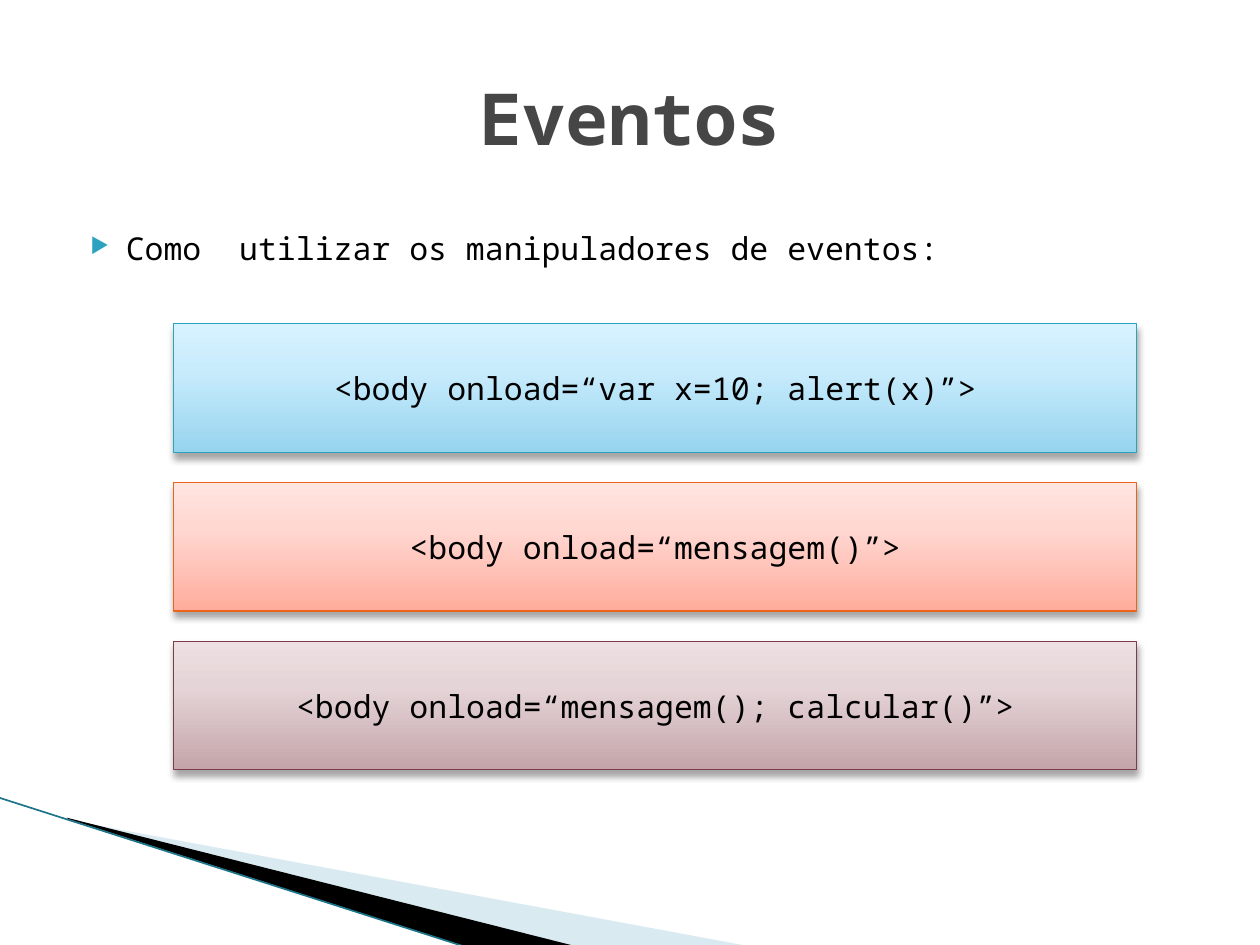
from dataclasses import dataclass

from lxml import etree
from pptx import Presentation
from pptx.dml.color import RGBColor
from pptx.enum.shapes import MSO_CONNECTOR, MSO_SHAPE
from pptx.enum.text import MSO_ANCHOR, PP_ALIGN
from pptx.oxml import parse_xml
from pptx.oxml.ns import nsdecls, qn
from pptx.util import Inches, Pt

RECT = MSO_SHAPE.RECTANGLE
STRAIGHT = MSO_CONNECTOR.STRAIGHT
MIDDLE = MSO_ANCHOR.MIDDLE
CENTER, JUSTIFY = PP_ALIGN.CENTER, PP_ALIGN.JUSTIFY


@dataclass(frozen=True)
class Theme:
    font: str = "Noto Sans Mono"
    title: str = "464646"
    ink: str = "000000"
    accent: str = "2DA2BF"
    pale: str = "A0CBDC"
    edge: str = "1C7489"
    big: int = 41
    text: int = 18


theme = Theme()


def write(frame, text, align, size=theme.text, color=theme.ink, bold=False):
    """Fill the first paragraph with one styled run and return it."""
    frame.word_wrap = True
    para = frame.paragraphs[0]
    para.alignment = align
    run = para.add_run()
    run.text = text
    font = run.font
    font.name, font.size, font.bold = theme.font, Pt(size), bold
    font.color.rgb = RGBColor.from_string(color)
    return para


prs = Presentation()
prs.slide_width, prs.slide_height = Inches(10), Inches(7.5)
slide = prs.slides.add_slide(prs.slide_layouts[6])
shapes = slide.shapes

# Corner wedges
wedges = [
    (theme.pale, 40, [(0.55, 6.51), (5.95, 7.51), (4.56, 7.51), (0.55, 6.5)]),
    (theme.ink, 100, [(0.53, 6.49), (4.57, 7.51), (3.72, 7.52), (0.54, 6.5)]),
]
for color, alpha, points in wedges:
    points = [(Inches(x), Inches(y)) for x, y in points]
    pen = shapes.build_freeform(*points[0])
    pen.add_line_segments(points[1:], close=True)
    wedge = pen.convert_to_shape()
    wedge.shadow.inherit = False
    wedge.fill.solid()
    wedge.fill.fore_color.rgb = RGBColor.from_string(color)
    wedge.line.fill.background()
    if alpha < 100:
        tint = wedge._element.spPr.find(qn("a:solidFill"))[0]
        etree.SubElement(tint, qn("a:alpha")).set("val", str(alpha * 1000))

edge = shapes.add_connector(
    STRAIGHT, Inches(-0.01), Inches(6.33), Inches(3.71), Inches(7.52))
edge.line.color.rgb = RGBColor.from_string(theme.edge)
edge.line.width = Pt(0.95)
etree.SubElement(edge._element.spPr, qn("a:effectLst"))

# Title and bullet
title = shapes.add_textbox(Inches(0.5), Inches(0.3), Inches(9), Inches(1.25))
title.text_frame.vertical_anchor = MIDDLE
write(title.text_frame, "Eventos", CENTER, theme.big, theme.title, True)

body = shapes.add_textbox(Inches(0.5), Inches(1.62), Inches(9), Inches(4.65))
para = write(body.text_frame, "Como  utilizar os manipuladores de eventos:",
             JUSTIFY)
para.line_spacing = 1.5
para.space_before = Pt(4)
props = para._p.get_or_add_pPr()
props.set("marL", str(Inches(0.4)))
props.set("indent", str(Inches(-0.28)))
for bullet in (
    f'<a:buClr {nsdecls("a")}><a:srgbClr val="{theme.accent}"/></a:buClr>',
    f'<a:buSzPct {nsdecls("a")} val="68000"/>',
    f'<a:buChar {nsdecls("a")} char="▶"/>',
):
    props.append(parse_xml(bullet))

# Code boxes: line colour, then gradient from bottom to top
boxes = [
    ("<body onload=“var x=10; alert(x)”>",
     theme.accent, ("96D4EE", "C9ECFC", "D7F2FF")),
    ("<body onload=“mensagem()”>",
     "EB641B", ("FFAC9C", "FFD8D2", "FFE4DF")),
    ("<body onload=“mensagem(); calcular()”>",
     "7D3C4A", ("C4A5A9", "E5D4D7", "EEE0E2")),
]
for i, (code, line, blend) in enumerate(boxes):
    box = shapes.add_shape(RECT, Inches(1.38), Inches(2.57 + 1.26 * i),
                           Inches(7.64), Inches(1.02))
    box.shadow.inherit = False
    box.line.color.rgb = RGBColor.from_string(line)
    box.line.width = Pt(0.75)
    box.fill.gradient()
    box.fill.gradient_angle = 90
    stops = box._element.spPr.find(qn("a:gradFill")).find(qn("a:gsLst"))
    for stop in list(stops):
        stops.remove(stop)
    for pos, color in zip((0, 65, 100), blend):
        stops.append(parse_xml(
            f'<a:gs {nsdecls("a")} pos="{pos * 1000}">'
            f'<a:srgbClr val="{color}"/></a:gs>'))
    box._element.spPr.find(qn("a:effectLst")).append(parse_xml(
        f'<a:outerShdw {nsdecls("a")} blurRad="{Pt(4)}" dist="{Pt(3)}" '
        'dir="5400000" rotWithShape="0"><a:srgbClr val="000000">'
        '<a:alpha val="35000"/></a:srgbClr></a:outerShdw>'))
    box.text_frame.vertical_anchor = MIDDLE
    write(box.text_frame, code, CENTER)

prs.save("out.pptx")
